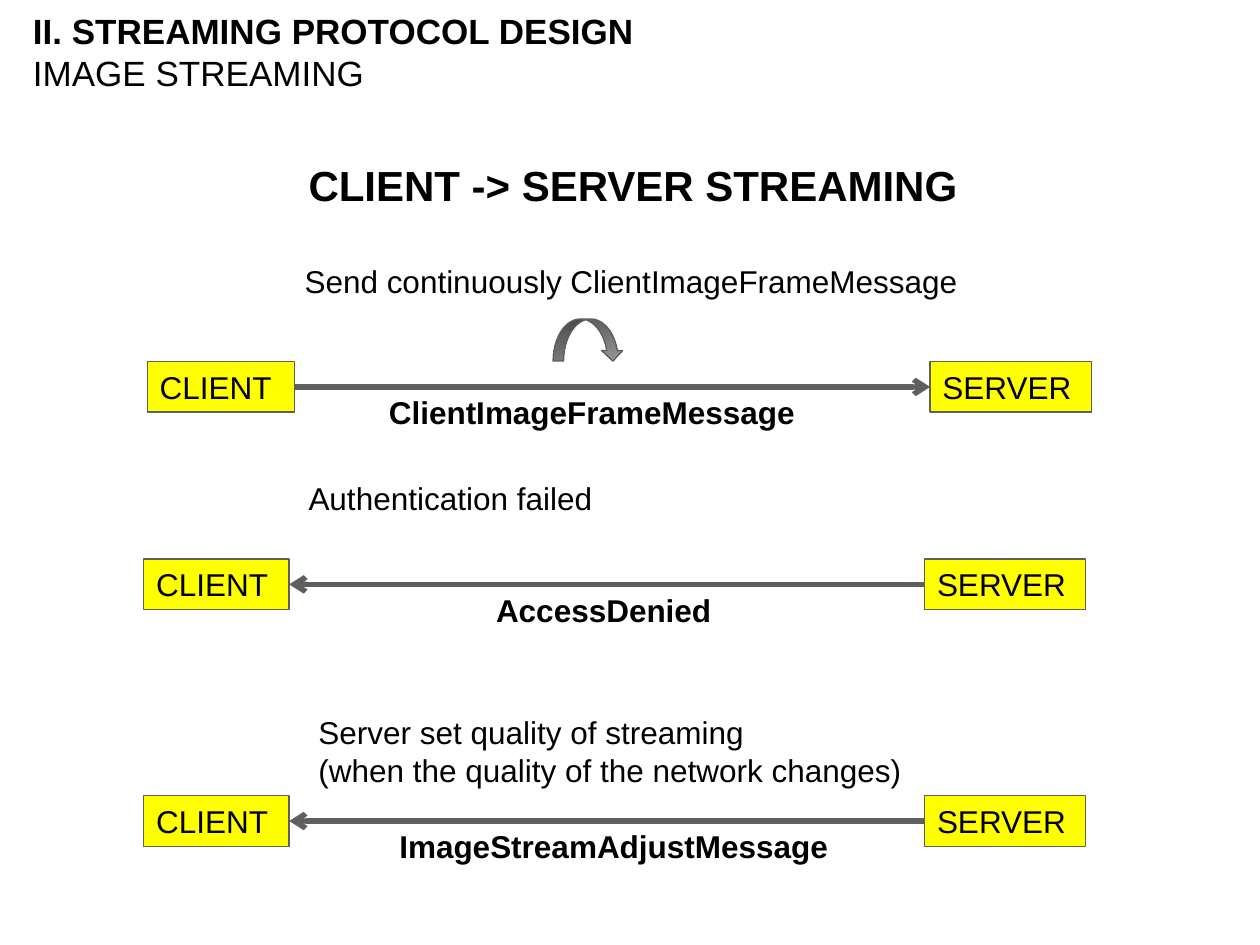
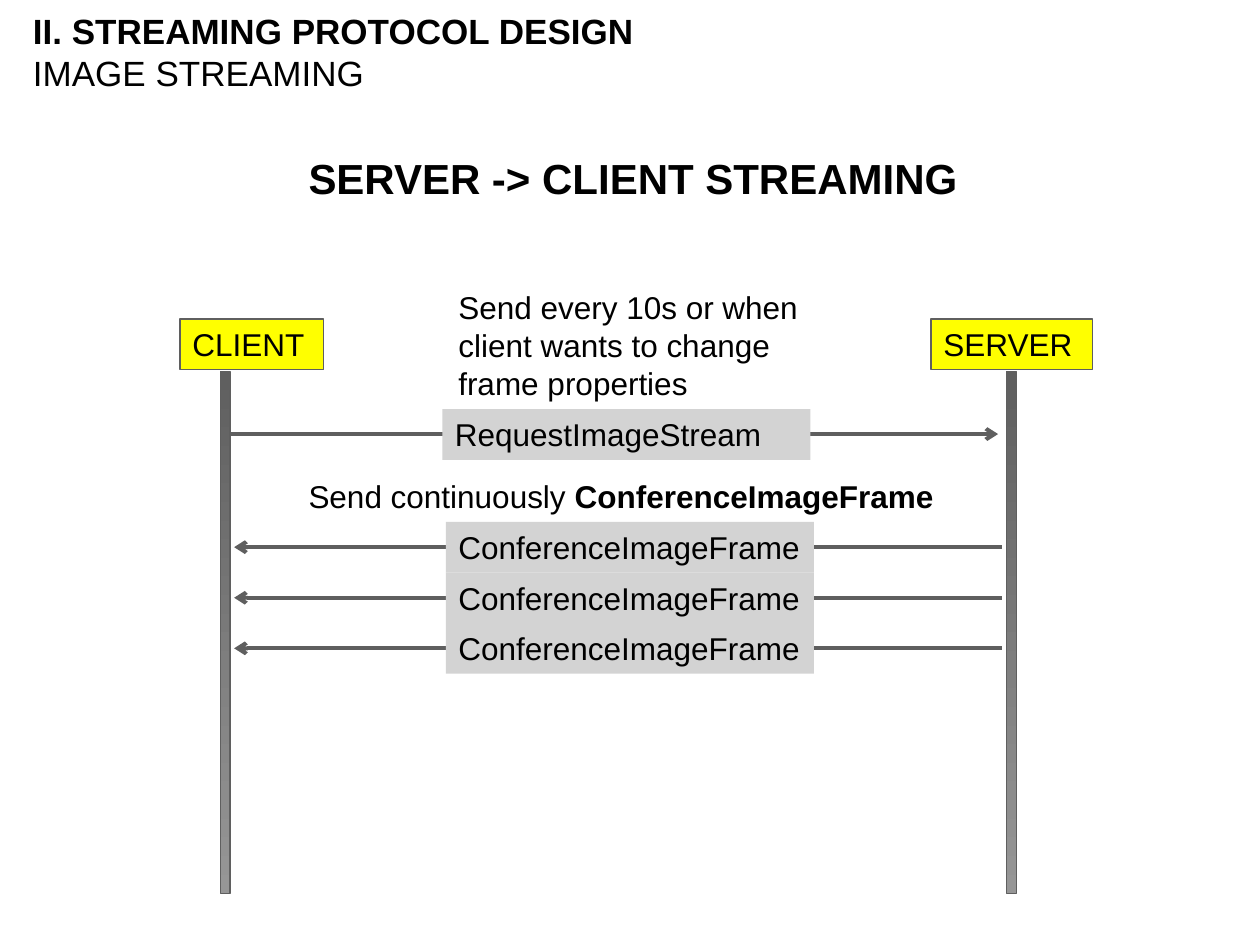
import pptx
import pptx.util
import pptx.dml.color
import pptx.enum.shapes
import pptx.enum.text
import pptx.oxml.ns
import lxml.etree

Cm = pptx.util.Cm
Pt = pptx.util.Pt
SHAPE = pptx.enum.shapes.MSO_SHAPE
ANCHOR = pptx.enum.text.MSO_ANCHOR
AUTO = pptx.enum.text.MSO_AUTO_SIZE
LEFT = pptx.enum.text.PP_ALIGN.LEFT

COLORS = {
    "text": "000000",
    "node": "FFFF00",
    "line": "5F5F5F",
    "fade": "969696",
    "label": "D3D3D3",
}
FONT = "Arial"
NODE_H = 1.02
SERVER_W = 3.25
FRAME = {"word_wrap": True, "auto_size": AUTO.SHAPE_TO_FIT_TEXT, "vertical_anchor": ANCHOR.TOP}
NODE_FRAME = {"word_wrap": False, "auto_size": AUTO.NONE, "vertical_anchor": ANCHOR.MIDDLE}
TITLE_FRAME = {"word_wrap": True, "auto_size": AUTO.NONE, "vertical_anchor": ANCHOR.MIDDLE}


def rgb(name):
    return pptx.dml.color.RGBColor.from_string(COLORS[name])


def apply(obj, values):
    for name, value in values.items():
        setattr(obj, name, value)


def write(tf, paragraphs, frame, size=18):
    apply(tf, frame)
    for i, runs in enumerate(paragraphs):
        p = tf.add_paragraph() if i else tf.paragraphs[0]
        p.alignment = LEFT
        for text, bold in runs:
            r = p.add_run()
            r.text = text
            apply(r.font, {"name": FONT, "size": Pt(size), "bold": bold})
            r.font.color.rgb = rgb("text")


def add_text(slide, x, y, w, h, paragraphs, frame=FRAME, size=18):
    sp = slide.shapes.add_textbox(Cm(x), Cm(y), Cm(w), Cm(h))
    write(sp.text_frame, paragraphs, frame, size)


def add_block(slide, kind, x, y, w, h, fill=None, outlined=True):
    sp = slide.shapes.add_shape(kind, Cm(x), Cm(y), Cm(w), Cm(h))
    sp.shadow.inherit = False
    if fill:
        sp.fill.solid()
        sp.fill.fore_color.rgb = rgb(fill)
    else:
        sp.fill.gradient()
        sp.fill.gradient_angle = 270
        for stop, name in zip(sp.fill.gradient_stops, ("line", "fade")):
            stop.color.rgb = rgb(name)
    if outlined:
        sp.line.color.rgb = rgb("line")
        sp.line.width = Pt(0.75)
    else:
        sp.line.fill.background()
    return sp


def add_node(slide, x, y, w, name):
    sp = add_block(slide, SHAPE.RECTANGLE, x, y, w, NODE_H, "node")
    write(sp.text_frame, [[(name, False)]], NODE_FRAME)
    return sp


def add_label(slide, x, y, name):
    sp = add_block(slide, SHAPE.RECTANGLE, x, y, 7.42, NODE_H, "label", outlined=False)
    write(sp.text_frame, [[(name, False)]], FRAME)


def add_arrow(slide, x1, x2, y, width):
    cx = slide.shapes.add_connector(
        pptx.enum.shapes.MSO_CONNECTOR.STRAIGHT, Cm(x1), Cm(y), Cm(x2), Cm(y))
    cx.line.color.rgb = rgb("line")
    cx.line.width = Pt(width)
    qn = pptx.oxml.ns.qn
    lxml.etree.SubElement(cx.line._get_or_add_ln(), qn("a:tailEnd"), type="arrow")
    lxml.etree.SubElement(cx._element.spPr, qn("a:effectLst"))
    return cx


def add_exchange(slide, y, client, server_x, message, message_x, message_w, to_server=False):
    client_x, client_w = client
    left = add_node(slide, client_x, y, client_w, "CLIENT")
    right = add_node(slide, server_x, y, SERVER_W, "SERVER")
    middle = y + NODE_H / 2
    cx = add_arrow(slide, client_x + client_w, server_x, middle, 3)
    if to_server:
        cx.begin_connect(left, 3)
        cx.end_connect(right, 1)
    else:
        cx.begin_connect(right, 1)
        cx.end_connect(left, 3)
    add_text(slide, message_x, middle, message_w, NODE_H, [[(message, True)]])


def add_slide(prs, heading, heading_y):
    slide = prs.slides.add_slide(prs.slide_layouts[5])
    title = slide.shapes.title
    apply(title, {"left": Cm(0.41), "top": Cm(0.23), "width": Cm(22.86), "height": Cm(1.63)})
    write(title.text_frame,
          [[("II. STREAMING PROTOCOL DESIGN", True)], [("IMAGE STREAMING", False)]],
          TITLE_FRAME, 20)
    add_text(slide, 5.97, heading_y, 13.59, 1.27, [[(heading, True)]],
             {**FRAME, "word_wrap": False}, 24)
    return slide


def client_to_server(prs):
    slide = add_slide(prs, "CLIENT -> SERVER STREAMING", 3.1)
    add_exchange(slide, 7.29, (2.97, 2.97), 18.75, "ClientImageFrameMessage", 7.59, 9.5, True)
    add_block(slide, SHAPE.CURVED_DOWN_ARROW, 11.15, 6.43, 1.42, 0.85)
    replies = [(11.27, "AccessDenied", 9.75, 4.93),
               (16.04, "ImageStreamAdjustMessage", 7.8, 9.78)]
    for y, message, x, w in replies:
        add_exchange(slide, y, (2.9, 2.93), 18.64, message, x, w)
    notes = [
        (5.89, 5.16, ["Send continuously ClientImageFrameMessage"]),
        (5.97, 9.53, ["Authentication failed"]),
        (6.17, 14.25, ["Server set quality of streaming",
                       "(when the quality of the network changes)"]),
    ]
    for x, y, lines in notes:
        add_text(slide, x, y, 14.94, NODE_H * len(lines), [[(line, False)] for line in lines])


def server_to_client(prs):
    slide = add_slide(prs, "SERVER -> CLIENT STREAMING", 2.95)
    add_node(slide, 3.63, 6.43, 2.9, "CLIENT")
    add_node(slide, 18.77, 6.43, SERVER_W, "SERVER")
    for x in (4.44, 20.29):
        add_block(slide, SHAPE.RECTANGLE, x, 7.49, 0.2, 10.52)
    add_arrow(slide, 4.64, 20.12, 8.75, 2.25)
    add_label(slide, 8.92, 8.25, "RequestImageStream")
    for i in range(3):
        y = 10.52 + i * NODE_H
        add_arrow(slide, 20.19, 4.72, y + NODE_H / 2, 2.25)
        add_label(slide, 8.99, y, "ConferenceImageFrame")
    add_text(slide, 5.97, 9.5, 14.94, NODE_H,
             [[("Send continuously ", False), ("ConferenceImageFrame", True)]])
    add_text(slide, 8.99, 5.69, 8.2, 2.57,
             [[("Send every 10s or when client wants to change frame properties", False)]])


def main():
    prs = pptx.Presentation()
    prs.slide_width = Cm(25.4)
    prs.slide_height = Cm(19.05)
    client_to_server(prs)
    server_to_client(prs)
    prs.save("out.pptx")


if __name__ == "__main__":
    main()
